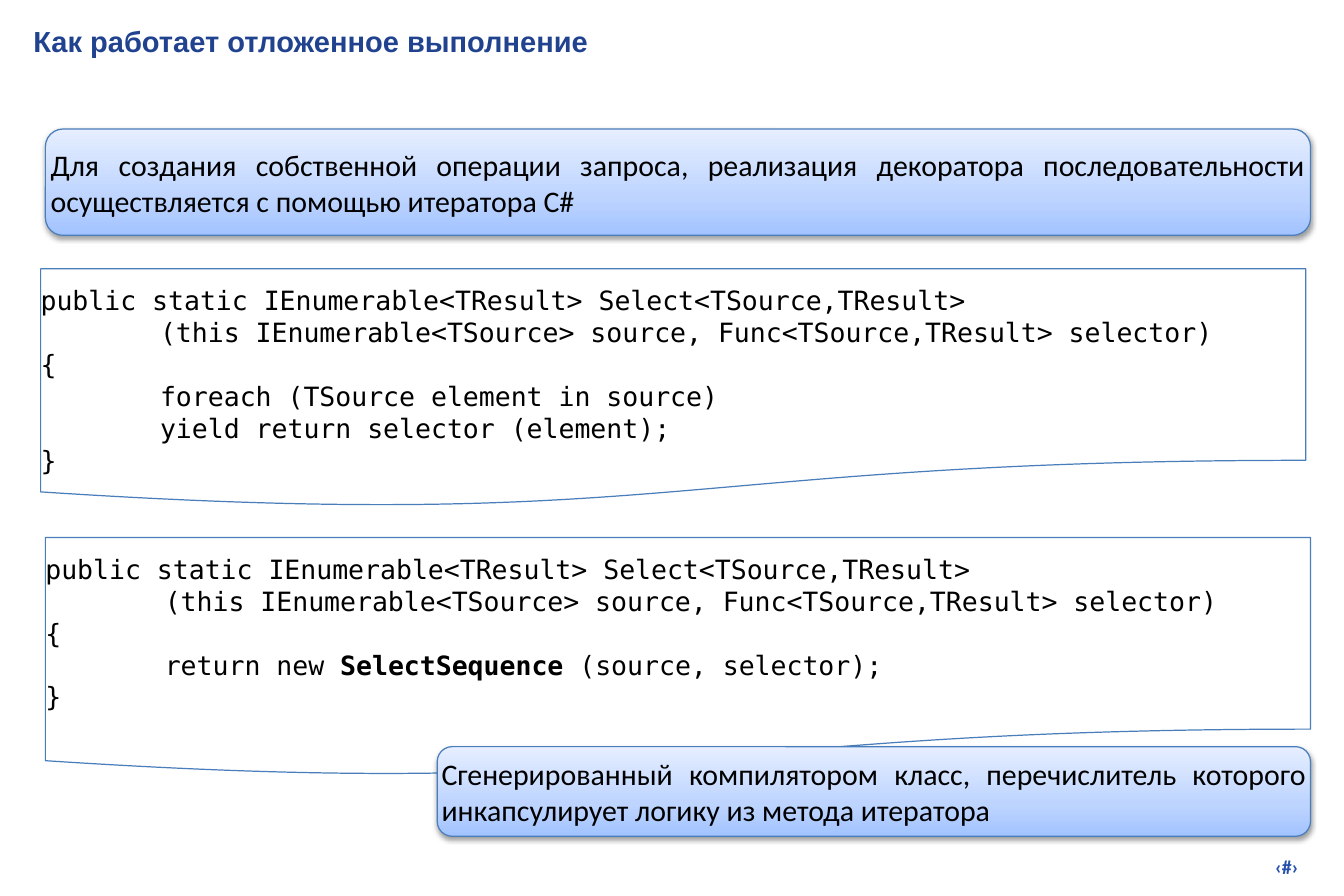
from copy import deepcopy
from dataclasses import dataclass

from lxml.etree import SubElement
from pptx import Presentation
from pptx.dml.color import RGBColor
from pptx.enum.shapes import MSO_SHAPE as Shape
from pptx.enum.text import MSO_ANCHOR as Anchor, MSO_AUTO_SIZE as Fit, PP_ALIGN as Align
from pptx.oxml.ns import qn
from pptx.util import Inches, Pt

NAVY = RGBColor(0x21, 0x43, 0x8F)
BLUE = RGBColor(0x27, 0x50, 0xAB)
EDGE = RGBColor(0x4A, 0x7E, 0xBB)
BLACK = RGBColor(0, 0, 0)
WHITE = RGBColor(0xFF, 0xFF, 0xFF)
SHADES = (
    (0, RGBColor(0xA2, 0xC3, 0xFF)),
    (0.35, RGBColor(0xBD, 0xD4, 0xFF)),
    (1, RGBColor(0xE6, 0xEE, 0xFF)),
)
HEAD = (
    "public static IEnumerable<TResult> Select<TSource,TResult>",
    "\t(this IEnumerable<TSource> source, Func<TSource,TResult> selector)",
    "{",
)


@dataclass
class Code:
    left: float
    top: float
    body: tuple[str, ...]
    strong: str = ""


@dataclass
class Note:
    left: float
    top: float
    width: float
    height: float
    words: str


CODES = (
    Code(0.34, 2.25, ("\tforeach (TSource element in source)",
                      "\tyield return selector (element);")),
    Code(0.38, 4.5, ("\treturn new SelectSequence (source, selector);",),
         "SelectSequence"),
)
NOTES = (
    Note(0.38, 1.08, 10.59, 0.89,
         "Для создания собственной операции запроса, реализация декоратора "
         "последовательности осуществляется с помощью итератора C#"),
    Note(3.66, 6.25, 7.31, 0.75,
         "Сгенерированный компилятором класс, перечислитель которого "
         "инкапсулирует логику из метода итератора"),
)


def write(shape, *lines: str, font: str, size: float, color: RGBColor = BLACK,
          bold: bool = False, strong: str = "", align: Align = Align.LEFT,
          anchor: Anchor = Anchor.TOP, top: float = 0, tab: float = 0) -> None:
    frame = shape.text_frame
    frame.word_wrap = True
    frame.auto_size = Fit.NONE
    frame.vertical_anchor = anchor
    frame.margin_left = frame.margin_right = frame.margin_bottom = 0
    frame.margin_top = Inches(top)
    for i, line in enumerate(lines):
        para = frame.add_paragraph() if i else frame.paragraphs[0]
        para.alignment = align
        if tab:
            props = para._p.get_or_add_pPr()
            stops = SubElement(props, qn("a:tabLst"))
            SubElement(stops, qn("a:tab"), pos=str(Inches(tab)), algn="l")
        for part in line.partition(strong) if strong else (line,):
            if part:
                run = para.add_run()
                run.text = part
                run.font.name = font
                run.font.size = Pt(size)
                run.font.bold = bold or part == strong
                run.font.color.rgb = color


def block(slide, kind: Shape, left: float, top: float, width: float, height: float):
    shape = slide.shapes.add_shape(
        kind, Inches(left), Inches(top), Inches(width), Inches(height))
    shape.shadow.inherit = False
    shape.line.color.rgb = EDGE
    shape.line.width = Pt(0.75)
    return shape


def shade(shape) -> None:
    fill = shape.fill
    fill.gradient()
    fill.gradient_angle = 90
    stops = shape.element.spPr.find(".//" + qn("a:gsLst"))
    stops.insert(1, deepcopy(stops[0]))
    for stop, (place, color) in zip(fill.gradient_stops, SHADES):
        stop.position = place
        stop.color.rgb = color


def drop(shape) -> None:
    effects = shape.element.spPr.find(qn("a:effectLst"))
    shadow = SubElement(effects, qn("a:outerShdw"), blurRad=str(Pt(3)),
                        dist=str(Pt(1.6)), dir="5400000", rotWithShape="0")
    color = SubElement(shadow, qn("a:srgbClr"), val=str(BLACK))
    SubElement(color, qn("a:alpha"), val="38000")


def draw_code(slide, code: Code) -> None:
    shape = block(slide, Shape.FLOWCHART_DOCUMENT, code.left, code.top, 10.59, 2)
    shape.fill.solid()
    shape.fill.fore_color.rgb = WHITE
    write(shape, *HEAD, *code.body, "}", font="DejaVu Sans Mono", size=16,
          strong=code.strong, top=0.13, tab=1)


def draw_note(slide, note: Note) -> None:
    shape = block(slide, Shape.ROUNDED_RECTANGLE,
                  note.left, note.top, note.width, note.height)
    shade(shape)
    drop(shape)
    write(shape, note.words, font="Calibri", size=18,
          align=Align.JUSTIFY, anchor=Anchor.MIDDLE)


def main() -> None:
    deck = Presentation()
    deck.slide_width, deck.slide_height = Inches(11.25), Inches(7.5)
    slide = deck.slides.add_slide(deck.slide_layouts[5])

    title = slide.shapes.title
    title.left, title.top = Inches(0.28), Inches(0.2)
    title.width, title.height = Inches(10.74), Inches(0.4)
    write(title, "Как работает отложенное выполнение",
          font="Arial", size=17.5, color=NAVY, bold=True)

    for code in CODES:
        draw_code(slide, code)
    for note in NOTES:
        draw_note(slide, note)

    page = slide.shapes.add_textbox(
        Inches(8.54), Inches(7.11), Inches(2.33), Inches(0.29))
    write(page, "‹#›", font="Calibri", size=12, color=BLUE, bold=True,
          align=Align.RIGHT, anchor=Anchor.MIDDLE)

    deck.save("out.pptx")


if __name__ == "__main__":
    main()
